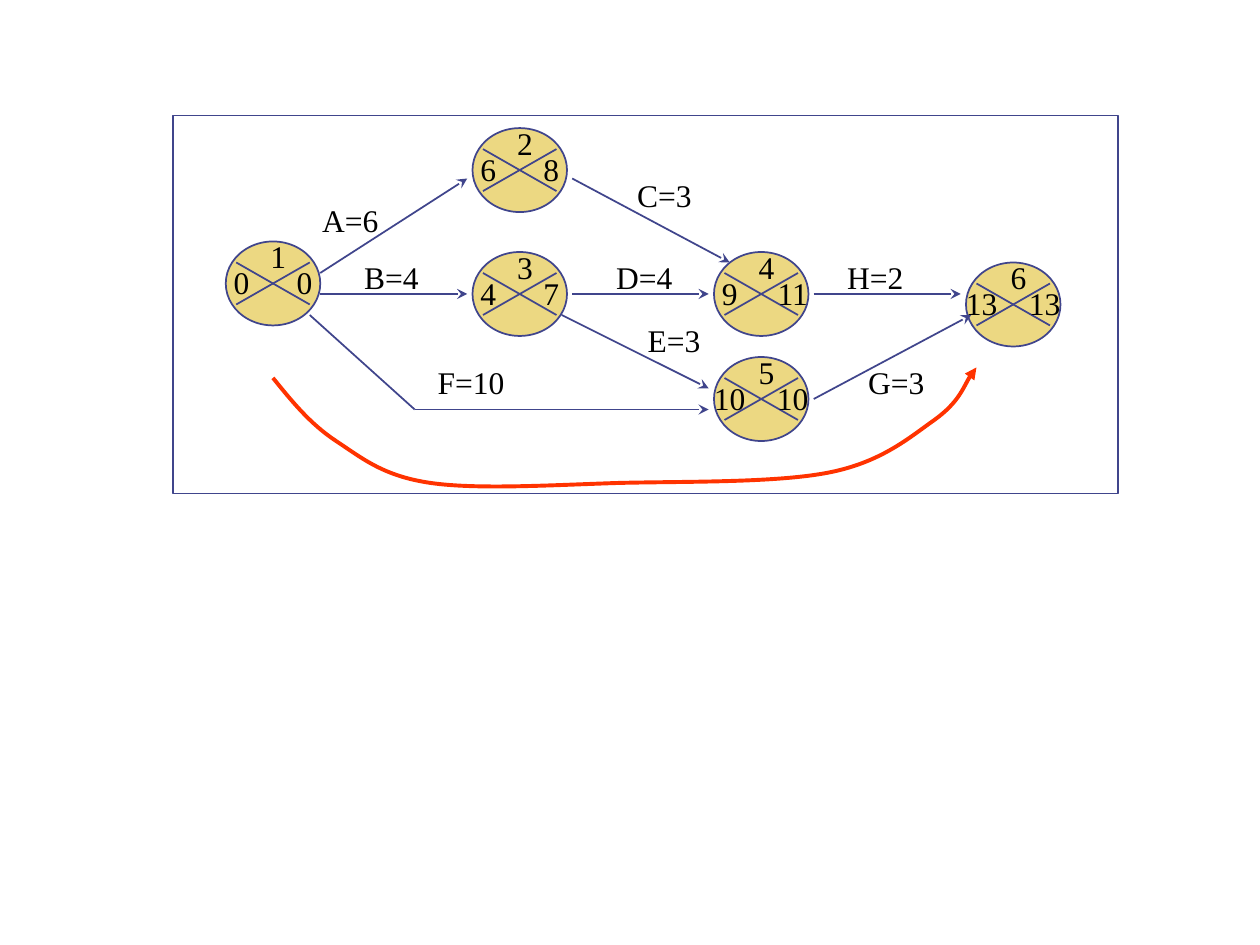
from lxml.etree import SubElement
from pptx import Presentation
from pptx.dml.color import RGBColor
from pptx.enum.shapes import MSO_CONNECTOR, MSO_SHAPE
from pptx.enum.text import MSO_AUTO_SIZE, PP_ALIGN
from pptx.oxml.ns import qn
from pptx.util import Inches, Pt

THEME = {
    "font": "Times New Roman", "size": Pt(18),
    "text": RGBColor(0x00, 0x00, 0x00), "paper": RGBColor(0xFF, 0xFF, 0xFF),
    "node": RGBColor(0xEC, 0xD8, 0x82), "line": RGBColor(0x40, 0x45, 0x8C),
    "critical": RGBColor(0xFF, 0x33, 0x00),
    "thin": Pt(1), "thick": Pt(2.25),
}

COLS, ROWS = 240, 180
FRAME = (33, 22, 180, 72)
NODE_W, NODE_H = 18, 16
NUMBER_W, LABEL_W, TEXT_H = 28, 36, 9.6

# name, earliest, latest, column, row
EVENTS = [
    ("1", "0", "0", 43, 46),
    ("2", "6", "8", 90, 24.4),
    ("3", "4", "7", 90, 48),
    ("4", "9", "11", 136, 48),
    ("5", "10", "10", 136, 68),
    ("6", "13", "13", 184, 50),
]
ACTIVITIES = [
    ("A=6", (59, 37.2), [(61, 52), (89, 34)]),
    ("B=4", (67, 48), [(61, 56), (89, 56)]),
    ("C=3", (119, 32.4), [(109, 34), (139, 50)]),
    ("D=4", (115, 48), [(109, 56), (135, 56)]),
    ("E=3", (121, 60), [(107, 60), (135, 74)]),
    ("F=10", (81, 68), [(59, 60), (79, 78), (135, 78)]),
    ("H=2", (159, 48), [(155, 56), (183, 56)]),
    ("G=3", (163, 68), [(155, 76), (185, 60)]),
]
CRITICAL_PATH = [
    (52, 72),
    (55.5, 76.3), (59, 80.7), (64, 84),
    (69, 87.3), (73, 90.7), (82, 92),
    (91, 93.3), (105.3, 92.4), (118, 92),
    (130.6, 91.7), (148, 92), (158, 90),
    (168, 88), (173.3, 83.3), (178, 80),
    (182.7, 76.6), (184.6, 71.3), (186, 70),
]

prs = Presentation()
prs.slide_width, prs.slide_height = Inches(10), Inches(7.5)
s = prs.slides.add_slide(prs.slide_layouts[6])
network = s.shapes.add_group_shape().shapes


def grid(*values):
    steps = (prs.slide_width / COLS, prs.slide_height / ROWS)
    return [round(v * steps[i % 2]) for i, v in enumerate(values)]


def add_arrowhead(sp, kind):
    SubElement(sp.line._get_or_add_ln(), qn("a:tailEnd"), type=kind)


def add_box(shape, area, fill):
    sp = network.add_shape(shape, *grid(*area))
    sp.shadow.inherit = False
    sp.fill.solid()
    sp.fill.fore_color.rgb = fill
    sp.line.color.rgb = THEME["line"]
    sp.line.width = THEME["thin"]


def add_line(start, end, arrow=False):
    sp = network.add_connector(MSO_CONNECTOR.STRAIGHT, *grid(*start, *end))
    sp.line.color.rgb = THEME["line"]
    sp.line.width = THEME["thin"]
    if arrow:
        add_arrowhead(sp, "stealth")
    SubElement(sp._element.spPr, qn("a:effectLst"))


def add_text(text, x, y, width, align):
    tf = network.add_textbox(*grid(x, y, width, TEXT_H)).text_frame
    tf.word_wrap = True
    tf.auto_size = MSO_AUTO_SIZE.SHAPE_TO_FIT_TEXT
    p = tf.paragraphs[0]
    p.alignment = align
    r = p.add_run()
    r.text = text
    r.font.name, r.font.size = THEME["font"], THEME["size"]
    r.font.color.rgb = THEME["text"]


def add_event(name, earliest, latest, x, y):
    add_box(MSO_SHAPE.OVAL, (x, y, NODE_W, NODE_H), THEME["node"])
    left, right, top, bottom = x + 2, x + NODE_W - 2, y + 4, y + NODE_H - 4
    add_line((left, top), (right, bottom))
    add_line((right, top), (left, bottom))
    for text, dx, dy in [(name, -4, -2), (latest, 1, 3), (earliest, -11, 3)]:
        add_text(text, x + dx, y + dy, NUMBER_W, PP_ALIGN.CENTER)


def add_activity(label, place, points):
    for start, end in zip(points, points[1:]):
        add_line(start, end, arrow=end == points[-1])
    add_text(label, *place, LABEL_W, PP_ALIGN.LEFT)


def add_curve(points):
    start, *rest = [grid(*point) for point in points]
    builder = s.shapes.build_freeform(*start)
    builder.add_line_segments(rest, close=False)
    sp = builder.convert_to_shape()
    path = sp._element.spPr.find(".//" + qn("a:path"))
    segments = path.findall(qn("a:lnTo"))
    for i in range(0, len(segments), 3):
        curve = SubElement(path, qn("a:cubicBezTo"))
        for segment in segments[i:i + 3]:
            curve.append(segment[0])
            path.remove(segment)
    sp.shadow.inherit = False
    sp.fill.background()
    sp.line.color.rgb = THEME["critical"]
    sp.line.width = THEME["thick"]
    add_arrowhead(sp, "triangle")


add_box(MSO_SHAPE.RECTANGLE, FRAME, THEME["paper"])
for event in EVENTS:
    add_event(*event)
for activity in ACTIVITIES:
    add_activity(*activity)
add_curve(CRITICAL_PATH)

prs.save("out.pptx")
